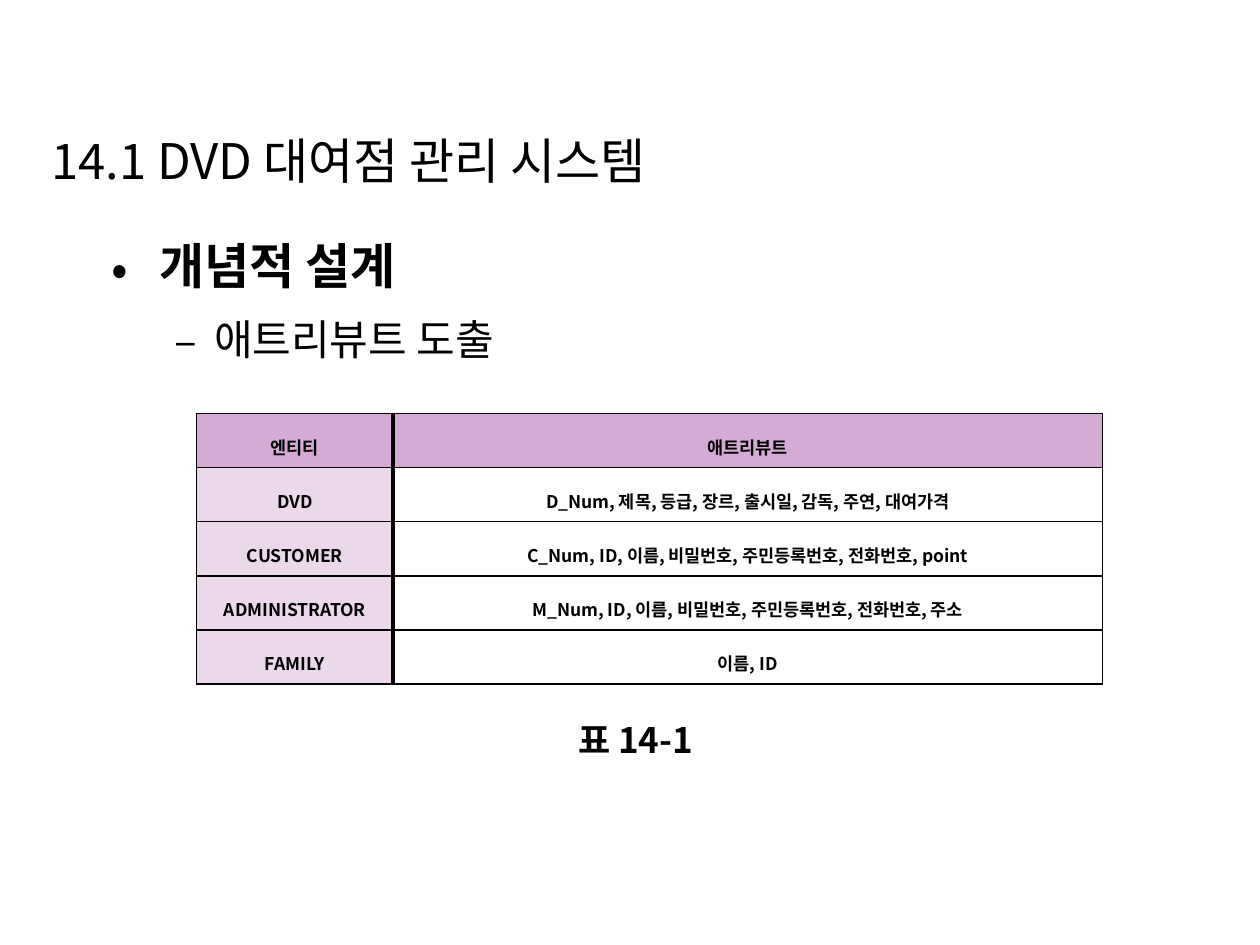
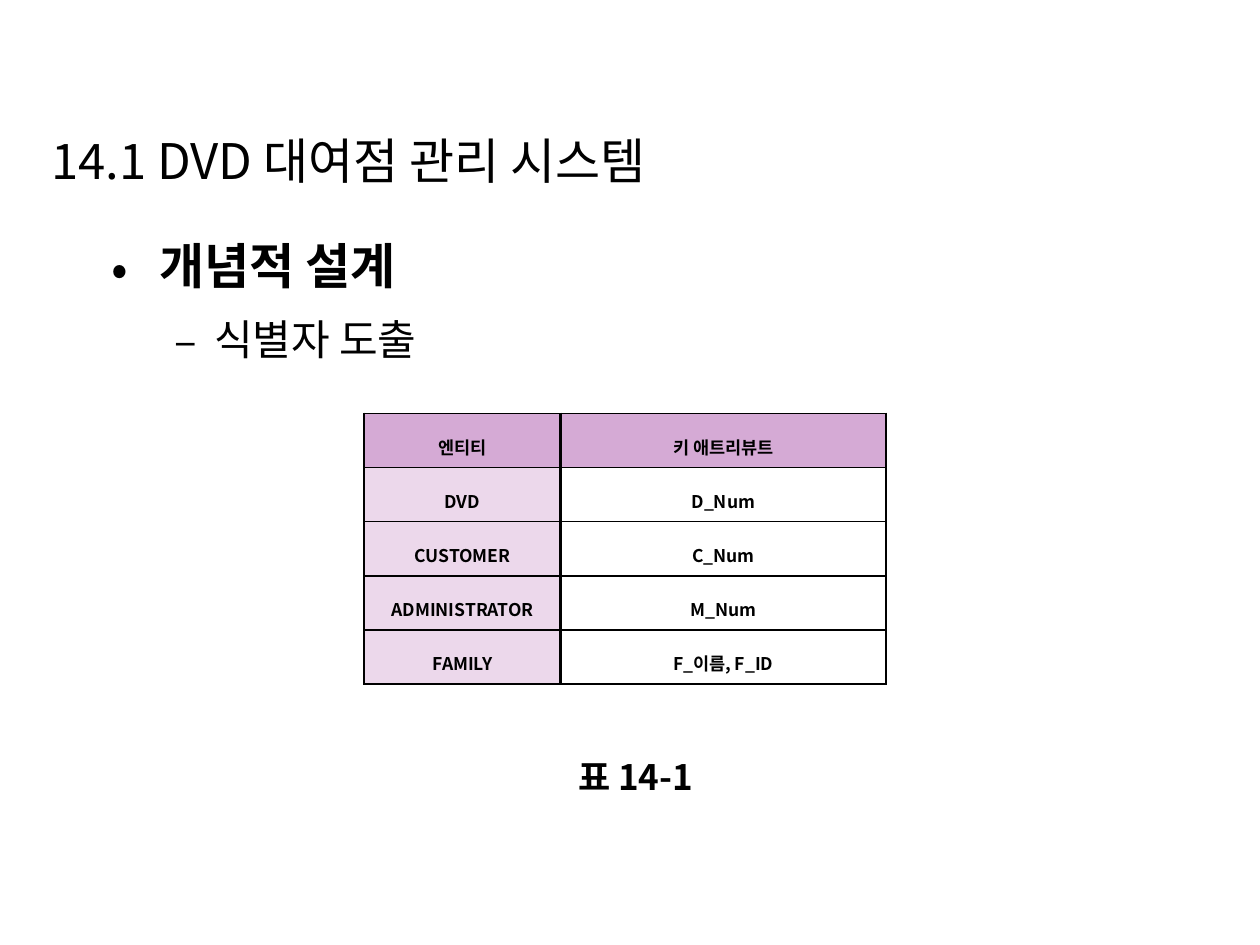
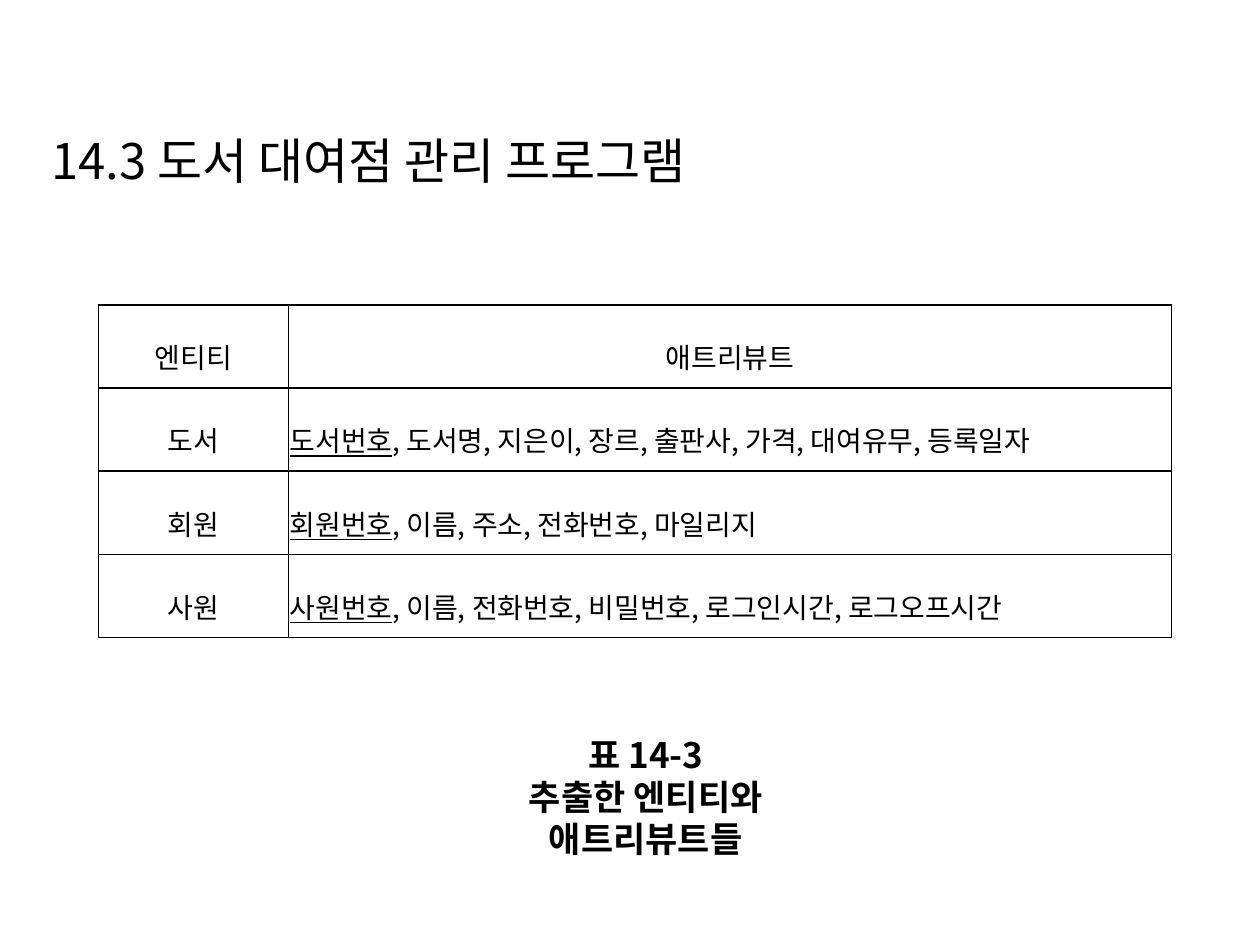
import pptx
import pptx.util
import pptx.dml.color
import pptx.enum.text
from lxml import etree

Inches, Pt = pptx.util.Inches, pptx.util.Pt
ALIGN = pptx.enum.text.PP_ALIGN
ANCHOR = pptx.enum.text.MSO_ANCHOR
AUTO = pptx.enum.text.MSO_AUTO_SIZE

# Content
DVD_TITLE = "14.1 DVD 대여점 관리 시스템"
ENTITIES = ["DVD", "CUSTOMER", "ADMINISTRATOR", "FAMILY"]
ATTRIBUTES = [
    "D_Num, 제목, 등급, 장르, 출시일, 감독, 주연, 대여가격",
    "C_Num, ID, 이름, 비밀번호, 주민등록번호, 전화번호, point",
    "M_Num, ID, 이름, 비밀번호, 주민등록번호, 전화번호, 주소",
    "이름, ID",
]
KEYS = ["D_Num", "C_Num", "M_Num", "F_이름, F_ID"]
# Each book-shop row: entity, (key, remaining attributes)
BOOK_ROWS = [
    ("도서", ("도서번호", ", 도서명, 지은이, 장르, 출판사, 가격, 대여유무, 등록일자")),
    ("회원", ("회원번호", ", 이름, 주소, 전화번호, 마일리지")),
    ("사원", ("사원번호", ", 이름, 전화번호, 비밀번호, 로그인시간, 로그오프시간")),
]

# Table looks: text size, bold, divider width, header and entity fills
TINTED = dict(size=10, bold=True, divider=2.25, header="header", entity="entity")
PLAIN = dict(size=16, bold=False, divider=1, header=None, entity=None)

SLIDES = [
    dict(title=DVD_TITLE, title_w=5.44, step="애트리뷰트 도출",
         rows=[("엔티티", "애트리뷰트"), *zip(ENTITIES, ATTRIBUTES)],
         at=(1.56, 3.28), cols=(1.56, 5.63), row_h=0.43, look=TINTED,
         caption=["표 14-1"], caption_box=(4.45, 5.7, 1.19, 0.34)),
    dict(title=DVD_TITLE, title_w=5.44, step="식별자 도출",
         rows=[("엔티티", "키 애트리뷰트"), *zip(ENTITIES, KEYS)],
         at=(2.89, 3.28), cols=(1.56, 2.58), row_h=0.43, look=TINTED,
         caption=["표 14-1"], caption_box=(4.45, 5.99, 1.19, 0.34)),
    dict(title="14.3 도서 대여점 관리 프로그램", title_w=5.81, step=None,
         rows=[("엔티티", "애트리뷰트"), *BOOK_ROWS],
         at=(0.78, 2.42), cols=(1.51, 7.01), row_h=0.66, look=PLAIN,
         caption=["표 14-3", "추출한 엔티티와 애트리뷰트들"],
         caption_box=(4.08, 5.94, 2.09, 0.76)),
]

# Shared style
FONT = "Noto Sans CJK KR"
COLORS = {"ink": "000000", "header": "D5AAD5", "entity": "ECD8EB"}


def rgb(name):
    return pptx.dml.color.RGBColor.from_string(COLORS[name])


def sub(parent, tag, **attrs):
    return etree.SubElement(parent, pptx.oxml.ns.qn(tag), attrs)


def style_run(r, size, bold=False):
    r.font.size, r.font.bold, r.font.name = Pt(size), bold, FONT
    r.font.color.rgb = rgb("ink")
    sub(r.font._element, "a:ea", typeface=FONT)


def add_text(s, box, lines, size, bold=False, wrap=False):
    sp = s.shapes.add_textbox(*map(Inches, box))
    tf = sp.text_frame
    tf.word_wrap = wrap
    tf.text = "\n".join(lines)
    for p in tf.paragraphs:
        style_run(p.runs[0], size, bold)
    return tf


def add_title(s, text, width):
    tf = add_text(s, (0.31, 0.99, width, 0.57), [text], 28)
    tf.auto_size = AUTO.SHAPE_TO_FIT_TEXT


def add_outline(s, step):
    tf = add_text(s, (0.79, 1.73, 8.98, 1.23), ["개념적 설계", step], 28, True, True)
    tf.auto_size = AUTO.SHAPE_TO_FIT_TEXT
    levels = [("•", 0.38, -0.38), ("–", 0.81, -0.31)]
    for level, (p, (bullet, margin, indent)) in enumerate(zip(tf.paragraphs, levels)):
        p.level, p.line_spacing = level, 1.2
        pPr = p._p.get_or_add_pPr()
        pPr.set("marL", str(Inches(margin)))
        pPr.set("indent", str(Inches(indent)))
        sub(pPr, "a:buFont", typeface=FONT)
        sub(pPr, "a:buChar", char=bullet)
    p.space_before = Pt(4.8)
    p.runs[0].font.size, p.runs[0].font.bold = Pt(24), False


def add_caption(s, box, lines):
    tf = add_text(s, box, lines, 20, True)
    tf.vertical_anchor = ANCHOR.MIDDLE
    for p in tf.paragraphs:
        p.alignment = ALIGN.CENTER


def set_borders(cell, widths):
    tcPr = cell._tc.get_or_add_tcPr()
    for i, (side, width) in enumerate(widths.items()):
        ln = etree.Element(pptx.oxml.ns.qn("a:" + side), w=str(Pt(width)))
        sub(sub(ln, "a:solidFill"), "a:srgbClr", val=COLORS["ink"])
        tcPr.insert(i, ln)


def fill_cell(cell, value, fill, look):
    cell.vertical_anchor = ANCHOR.MIDDLE
    cell.margin_left = cell.margin_right = Inches(0.01)
    cell.margin_top = cell.margin_bottom = Inches(0.01)
    if fill:
        cell.fill.solid()
        cell.fill.fore_color.rgb = rgb(fill)
    else:
        cell.fill.background()
    p = cell.text_frame.paragraphs[0]
    p.line_spacing = 1.5
    has_key = isinstance(value, tuple)
    p.alignment = ALIGN.JUSTIFY if has_key else ALIGN.CENTER
    for i, text in enumerate(value if has_key else [value]):
        r = p.add_run()
        r.text = text
        style_run(r, look["size"], look["bold"])
        r.font.underline = has_key and i == 0


def add_entity_table(s, rows, at, cols, row_h, look):
    box = (*at, sum(cols), row_h * len(rows))
    table = s.shapes.add_table(len(rows), len(cols), *map(Inches, box)).table
    table.first_row = table.horz_banding = False
    for column, width in zip(table.columns, cols):
        column.width = Inches(width)
    for i, row in enumerate(rows):
        for j, value in enumerate(row):
            fill = look["header"] if i == 0 else look["entity"] if j == 0 else None
            cell = table.cell(i, j)
            fill_cell(cell, value, fill, look)
            widths = dict(lnL=1, lnR=1, lnT=1, lnB=1)
            widths["lnL" if j else "lnR"] = look["divider"]
            set_borders(cell, widths)


def main():
    prs = pptx.Presentation()
    prs.slide_width, prs.slide_height = Inches(10), Inches(7.5)
    for d in SLIDES:
        s = prs.slides.add_slide(prs.slide_layouts[6])
        add_title(s, d["title"], d["title_w"])
        if d["step"]:
            add_outline(s, d["step"])
        add_entity_table(s, d["rows"], d["at"], d["cols"], d["row_h"], d["look"])
        add_caption(s, d["caption_box"], d["caption"])
    prs.save("out.pptx")


if __name__ == "__main__":
    main()
